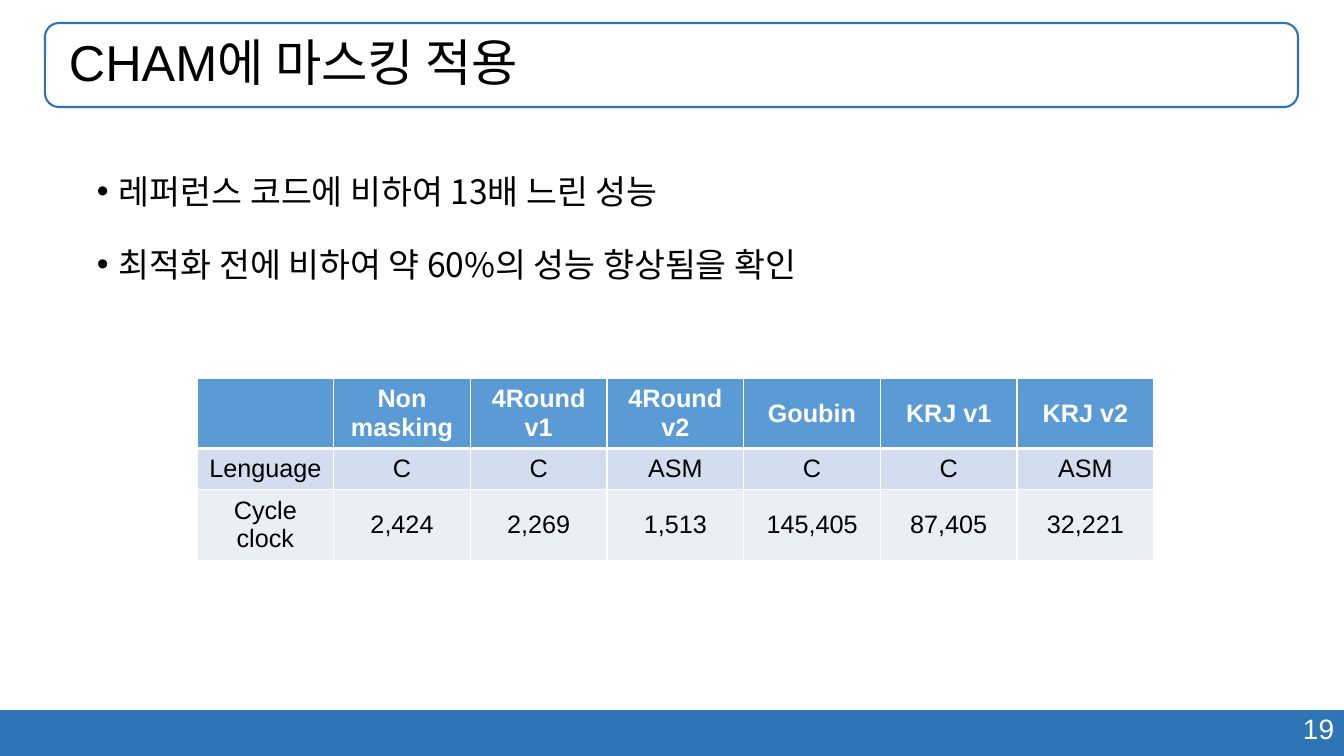
"""Build the slide on applying masking to CHAM, with its cycle table."""
from dataclasses import dataclass

from lxml.etree import SubElement
from pptx import Presentation
from pptx.dml.color import RGBColor
from pptx.enum.shapes import MSO_SHAPE
from pptx.enum.text import MSO_ANCHOR, PP_ALIGN
from pptx.oxml.ns import qn
from pptx.util import Pt

TITLE = "CHAM에 마스킹 적용"
BULLETS = [
    "레퍼런스 코드에 비하여 13배 느린 성능",
    "최적화 전에 비하여 약 60%의 성능 향상됨을 확인",
]
RESULTS = [
    ["", "Non masking", "4Round\nv1", "4Round\nv2", "Goubin", "KRJ v1", "KRJ v2"],
    ["Lenguage", "C", "C", "ASM", "C", "C", "ASM"],
    ["Cycle clock", "2,424", "2,269", "1,513", "145,405", "87,405", "32,221"],
]
PAGE_NUMBER = "19"

PAGE = (1344, 756)
TITLE_FRAME = (45, 23, 1253, 84)
BODY_BOX = (48, 142, 1253, 520)
TABLE_BOX = (197, 378, 957, 123)
FOOTER_BAR = (0, 710, 1344, 46)
NUMBER_BOX = (951, 707, 393, 44)
TITLE_INSET = 24
BULLET_LEFT, BULLET_HANG = 61, 22


@dataclass(frozen=True)
class Theme:
    """Colours, fonts and type sizes of the slide."""
    accent: str = "2E75B6"
    ink: str = "000000"
    white: str = "FFFFFF"
    rows: tuple = ("5B9BD5", "D2DEEF", "EAEFF7")
    latin: str = "Arial"
    korean: str = "Noto Sans CJK KR"
    title_size: int = 36
    body_size: int = 24
    number_size: int = 20
    table_size: int = 18


THEME = Theme()


def px(length):
    """Turn pixels into EMU."""
    return round(length * 914400 / 100.8)


def place(box):
    """Turn a box in pixels into EMU."""
    return [px(length) for length in box]


def style(para, size, color, font=THEME.latin, bold=False):
    """Format every run of a paragraph."""
    for span in para.runs:
        span.font.size = Pt(size)
        span.font.name = font
        span.font.bold = bold
        span.font.color.rgb = RGBColor.from_string(color)
        SubElement(span.font._element, qn("a:ea"), typeface=THEME.korean)


def add_panel(page, kind, box, fill=None, line=None):
    """Add a flat shape with an optional fill and outline."""
    panel = page.shapes.add_shape(kind, *place(box))
    panel.shadow.inherit = False
    if fill:
        panel.fill.solid()
        panel.fill.fore_color.rgb = RGBColor.from_string(fill)
    else:
        panel.fill.background()
    if line:
        panel.line.color.rgb = RGBColor.from_string(line)
        panel.line.width = Pt(1.5)
    else:
        panel.line.fill.background()


def add_text(page, box, text):
    """Add a wrapping text box and return its frame."""
    frame = page.shapes.add_textbox(*place(box)).text_frame
    frame.word_wrap = True
    frame.text = text
    return frame


def add_title(page):
    """Add the title in its rounded frame."""
    add_panel(page, MSO_SHAPE.ROUNDED_RECTANGLE, TITLE_FRAME, line=THEME.accent)
    frame = add_text(page, TITLE_FRAME, TITLE)
    frame.vertical_anchor = MSO_ANCHOR.MIDDLE
    frame.margin_left = px(TITLE_INSET)
    para = frame.paragraphs[0]
    para.line_spacing = 0.9
    style(para, THEME.title_size, THEME.ink)


def add_bullets(page):
    """Add the bulleted findings."""
    frame = add_text(page, BODY_BOX, "\n".join(BULLETS))
    for index, para in enumerate(frame.paragraphs):
        para.alignment = PP_ALIGN.JUSTIFY
        para.line_spacing = 1.6
        para.space_before = Pt(2.8 if index else 0)
        para.space_after = Pt(2.8)
        properties = para._p.get_or_add_pPr()
        properties.set("marL", str(px(BULLET_LEFT)))
        properties.set("indent", str(-px(BULLET_HANG)))
        SubElement(properties, qn("a:buFont"), typeface=THEME.latin)
        SubElement(properties, qn("a:buChar"), char="•")
        style(para, THEME.body_size, THEME.ink, THEME.korean)


def set_borders(cell, top, bottom):
    """Draw white cell borders with the given top and bottom widths."""
    properties = cell._tc.get_or_add_tcPr()
    for side, width in (("L", 1), ("R", 1), ("T", top), ("B", bottom)):
        line = SubElement(properties, qn(f"a:ln{side}"), w=str(Pt(width)))
        SubElement(SubElement(line, qn("a:solidFill")), qn("a:srgbClr"), val=THEME.white)


def add_results(page):
    """Add the table of cycle counts."""
    shape = page.shapes.add_table(len(RESULTS), len(RESULTS[0]), *place(TABLE_BOX))
    for row, values in enumerate(RESULTS):
        header = row == 0
        for column, value in enumerate(values):
            cell = shape.table.cell(row, column)
            set_borders(cell, 3 if row == 1 else 1, 3 if header else 1)
            cell.fill.solid()
            cell.fill.fore_color.rgb = RGBColor.from_string(THEME.rows[row])
            cell.vertical_anchor = MSO_ANCHOR.MIDDLE
            cell.text_frame.text = value
            for para in cell.text_frame.paragraphs:
                para.alignment = PP_ALIGN.CENTER
                style(para, THEME.table_size, THEME.white if header else THEME.ink, bold=header)


def add_footer(page):
    """Add the bottom bar and the page number."""
    add_panel(page, MSO_SHAPE.RECTANGLE, FOOTER_BAR, fill=THEME.accent)
    para = add_text(page, NUMBER_BOX, PAGE_NUMBER).paragraphs[0]
    para.alignment = PP_ALIGN.RIGHT
    style(para, THEME.number_size, THEME.white)


def main():
    """Build and save the deck."""
    deck = Presentation()
    deck.slide_width, deck.slide_height = place(PAGE)
    page = deck.slides.add_slide(deck.slide_layouts[6])
    add_footer(page)
    add_title(page)
    add_results(page)
    add_bullets(page)
    deck.save("out.pptx")


if __name__ == "__main__":
    main()
